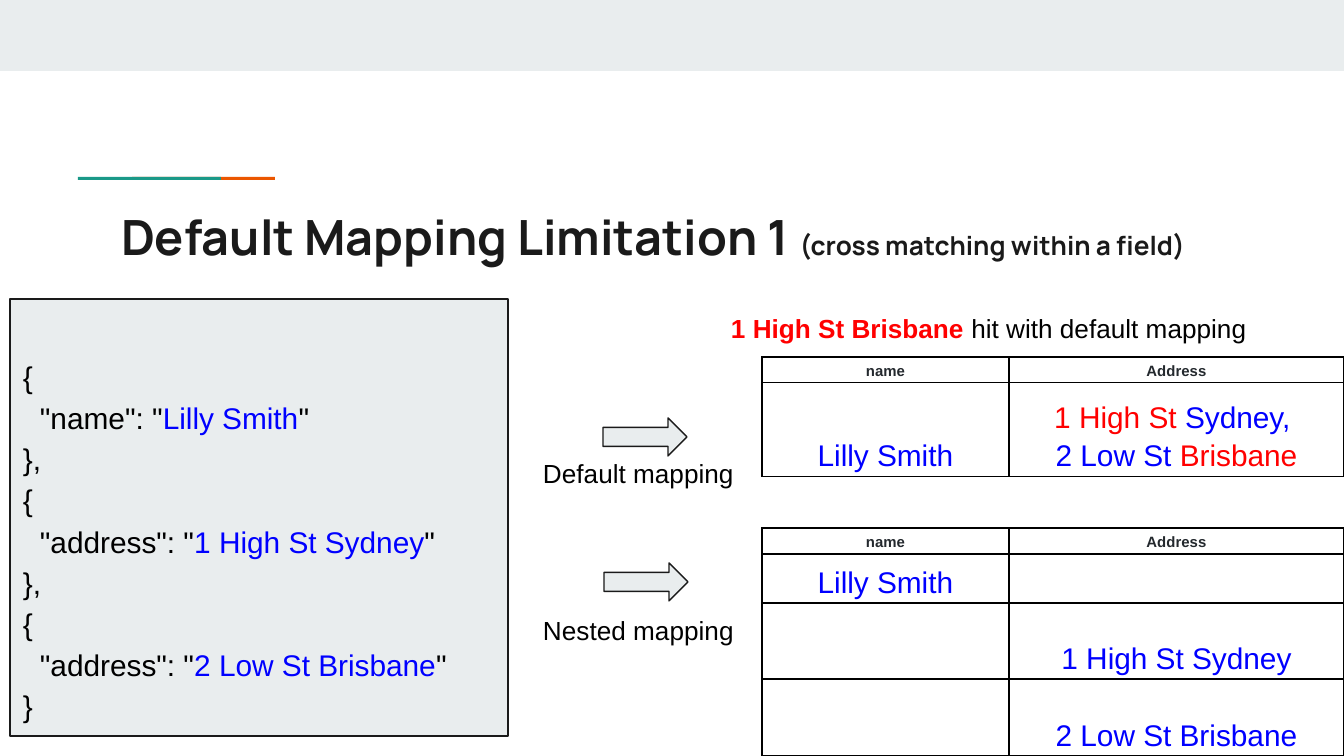
import pptx
import pptx.dml.color
import pptx.enum.shapes
import pptx.enum.text
import pptx.oxml
import pptx.oxml.ns
import pptx.util

SHAPES = pptx.enum.shapes.MSO_SHAPE
ANCHORS = pptx.enum.text.MSO_ANCHOR
ALIGNMENTS = pptx.enum.text.PP_ALIGN
PANEL = "E9EDEE"
INK = "1A1A1A"
TEAL = "1A9988"
ORANGE = "EB5600"
BLACK = "000000"
BLUE = "0000FF"
RED = "FF0000"
HEADING = "24292E"
INSET = 13


def px(length):
    return round(length * 9144000 / 1344)


def color(value):
    return pptx.dml.color.RGBColor.from_string(value)


def write_runs(paragraph, runs, size, font="Arial", bold=False):
    for text, value in runs:
        run = paragraph.add_run()
        run.text = text
        run.font.name = font
        run.font.size = pptx.util.Pt(size)
        run.font.bold = bold
        run.font.color.rgb = color(value)


def set_frame(frame, anchor=ANCHORS.TOP, top=INSET):
    frame.word_wrap = True
    frame.auto_size = pptx.enum.text.MSO_AUTO_SIZE.NONE
    frame.vertical_anchor = anchor
    frame.margin_left = frame.margin_right = frame.margin_bottom = px(INSET)
    frame.margin_top = px(top)


def add_block(slide, box, fill, line=None, kind=SHAPES.RECTANGLE):
    shape = slide.shapes.add_shape(kind, *map(px, box))
    shape.shadow.inherit = False
    shape.fill.solid()
    shape.fill.fore_color.rgb = color(fill)
    if line:
        shape.line.color.rgb = color(line)
        shape.line.width = pptx.util.Pt(0.75)
    else:
        shape.line.fill.background()


def add_text_box(slide, box):
    frame = slide.shapes.add_textbox(*map(px, box)).text_frame
    set_frame(frame)
    return frame


def add_header(slide, box):
    left, top, width, height = box
    add_block(slide, (left, top, width, 71), PANEL)
    for offset, fill in ((132, ORANGE), (78, TEAL)):
        add_block(slide, (left + offset, top + 177, 143, 3), fill)
    title = slide.shapes.title
    title.left, title.top = px(left + 108), px(top + 194)
    title.width, title.height = px(1130), px(height - 194)
    set_frame(title.text_frame)
    paragraph = title.text_frame.paragraphs[0]
    paragraph.alignment = ALIGNMENTS.LEFT
    write_runs(paragraph, [("Default Mapping Limitation 1 ", INK)], 26, "Manrope", True)
    write_runs(paragraph, [("(cross matching within a field)", INK)], 14, "Manrope", True)


def add_code_panel(slide, box, fields):
    left, top, width, height = box
    add_block(slide, box, PANEL, INK)
    frame = add_text_box(slide, (left - 33, top + 96, 543, 246))
    set_frame(frame, ANCHORS.MIDDLE, 54)
    lines = []
    for index, (name, value) in enumerate(fields):
        closing = "}" if index == len(fields) - 1 else "},"
        lines += [
            (33, [("{", BLACK)]),
            (50, [(f'"{name}": "', BLACK), (value, BLUE), ('"', BLACK)]),
            (33, [(closing, BLACK)]),
        ]
    for index, (indent, runs) in enumerate(lines):
        paragraph = frame.add_paragraph() if index else frame.paragraphs[0]
        paragraph.line_spacing = 1.15
        properties = paragraph._p.get_or_add_pPr()
        properties.set("marL", str(px(indent)))
        properties.set("indent", "0")
        write_runs(paragraph, runs, 16)


def add_mapping_step(slide, box, label, label_gap):
    left, top, width, height = box
    add_block(slide, box, PANEL, INK, SHAPES.RIGHT_ARROW)
    frame = add_text_box(slide, (530, top + label_gap, 233, 38))
    write_runs(frame.paragraphs[0], [(label, BLACK)], 14)


def add_borders(cell):
    properties = cell._tc.get_or_add_tcPr()
    for position, side in enumerate(("lnL", "lnR", "lnT", "lnB")):
        border = pptx.oxml.parse_xml(
            f'<a:{side} {pptx.oxml.ns.nsdecls("a")} w="9525"><a:solidFill>'
            f'<a:srgbClr val="{BLACK}"/></a:solidFill></a:{side}>'
        )
        properties.insert(position, border)


def add_result_table(slide, box, heights, records):
    rows = [[[[("name", HEADING)]], [[("Address", HEADING)]]]] + records
    table = slide.shapes.add_table(len(rows), 2, *map(px, box)).table
    table.first_row = table.horz_banding = False
    for column, width in zip(table.columns, (247, 335)):
        column.width = px(width)
    for row_index, (height, row) in enumerate(zip(heights, rows)):
        table.rows[row_index].height = px(height)
        for column_index, lines in enumerate(row):
            cell = table.cell(row_index, column_index)
            cell.fill.background()
            add_borders(cell)
            cell.vertical_anchor = ANCHORS.BOTTOM
            cell.margin_left = cell.margin_right = px(4)
            cell.margin_top = cell.margin_bottom = px(3)
            for index, runs in enumerate(lines):
                frame = cell.text_frame
                paragraph = frame.add_paragraph() if index else frame.paragraphs[0]
                paragraph.alignment = ALIGNMENTS.CENTER
                paragraph.line_spacing = 1.15
                heading = row_index == 0
                write_runs(paragraph, runs, 8 if heading else 16, bold=heading)


def add_caption(slide, box):
    paragraph = add_text_box(slide, box).paragraphs[0]
    write_runs(paragraph, [("1 High St Brisbane ", RED)], 14, bold=True)
    write_runs(paragraph, [("hit with default mapping", BLACK)], 14)


def main():
    presentation = pptx.Presentation()
    presentation.slide_width, presentation.slide_height = px(1344), px(756)
    slide = presentation.slides.add_slide(presentation.slide_layouts[5])
    person = [[("Lilly Smith", BLUE)]]
    first = [[("1 High St Sydney", BLUE)]]
    second = [[("2 Low St Brisbane", BLUE)]]
    merged = [
        [("1 High St", RED), (" Sydney, ", BLUE)],
        [("2 Low St ", BLUE), ("Brisbane", RED)],
    ]
    fields = [
        ("name", "Lilly Smith"),
        ("address", "1 High St Sydney"),
        ("address", "2 Low St Brisbane"),
    ]
    add_header(slide, (0, 0, 1344, 273))
    add_code_panel(slide, (10, 299, 498, 437), fields)
    add_mapping_step(slide, (603, 418, 84, 38), "Default mapping", 26)
    add_mapping_step(slide, (604, 563, 84, 38), "Nested mapping", 38)
    add_caption(slide, (718, 299, 626, 38))
    add_result_table(slide, (762, 357, 582, 119), (25, 94), [[person, merged]])
    add_result_table(
        slide,
        (762, 528, 582, 228),
        (26, 49, 76, 77),
        [[person, []], [[], first], [[], second]],
    )
    presentation.save("out.pptx")


if __name__ == "__main__":
    main()
